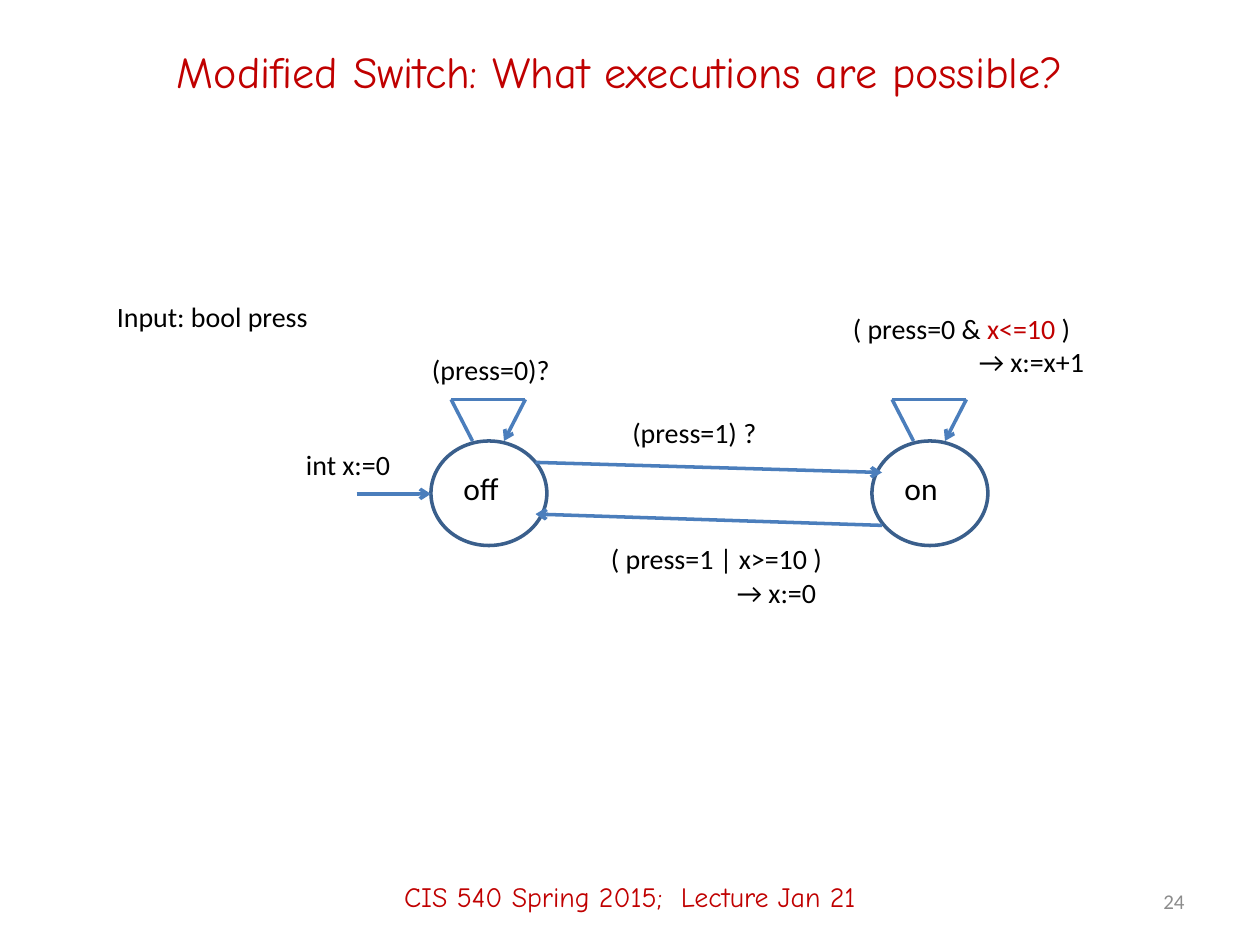
import itertools

import pptx
import pptx.dml.color
import pptx.enum.shapes
import pptx.enum.text
import pptx.oxml.ns
import pptx.util
from lxml import etree
from pptx.util import Inches

BODY_FONT, DISPLAY_FONT = "Calibri", "Comic Neue"
BLACK, RED, GRAY = "000000", "C00000", "8C8C8C"
ARROW_BLUE, STATE_BLUE = "4B7EBC", "3A5F8C"
STATE_WIDTH, STATE_HEIGHT = 0.92, 0.83
ALIGN = pptx.enum.text.PP_ALIGN
ANCHOR = pptx.enum.text.MSO_ANCHOR


def color(hex_string):
    """Turn a hex string into a colour."""
    return pptx.dml.color.RGBColor.from_string(hex_string)


def place(shape, left, top, width, height):
    """Set the box of a shape in inches."""
    shape.left, shape.top = Inches(left), Inches(top)
    shape.width, shape.height = Inches(width), Inches(height)


def format_paragraph(paragraph, size, hex_string=BLACK, font=BODY_FONT, align=ALIGN.LEFT):
    """Set the font and alignment of a paragraph."""
    paragraph.alignment = align
    paragraph.font.size = pptx.util.Pt(size)
    paragraph.font.name = font
    paragraph.font.color.rgb = color(hex_string)


def add_text(slide, box, text, size=16, wrap=False, anchor=ANCHOR.TOP, **style):
    """Add a text box with one formatted paragraph and return its frame."""
    frame = slide.shapes.add_textbox(*map(Inches, box)).text_frame
    frame.word_wrap = wrap
    frame.vertical_anchor = anchor
    frame.paragraphs[0].text = text
    format_paragraph(frame.paragraphs[0], size, **style)
    return frame


def add_action(frame, text):
    """Add an indented update line below a guard."""
    paragraph = frame.add_paragraph()
    paragraph.text = text
    paragraph._p.get_or_add_pPr().set("marL", str(Inches(1)))
    format_paragraph(paragraph, 16)


def add_line(slide, start, end, arrow=False):
    """Draw a straight line, with an arrowhead at its end if asked."""
    connector = slide.shapes.add_connector(
        pptx.enum.shapes.MSO_CONNECTOR.STRAIGHT, *map(Inches, (*start, *end)))
    connector.line.color.rgb = color(ARROW_BLUE)
    connector.line.width = pptx.util.Pt(2)
    if arrow:
        etree.SubElement(connector.line._get_or_add_ln(),
                         pptx.oxml.ns.qn("a:tailEnd"), type="arrow")
    etree.SubElement(connector._element.spPr, pptx.oxml.ns.qn("a:effectLst"))


def add_state(slide, left, top, name):
    """Draw a state circle with its name and the self-loop above it."""
    circle = slide.shapes.add_shape(
        pptx.enum.shapes.MSO_SHAPE.OVAL,
        *map(Inches, (left, top, STATE_WIDTH, STATE_HEIGHT)))
    circle.shadow.inherit = False
    circle.fill.background()
    circle.line.color.rgb = color(STATE_BLUE)
    circle.line.width = pptx.util.Pt(2)
    add_text(slide, (left + 0.16, top + 0.17, 0.58, 0.4), name, size=18, wrap=True)
    loop = [(left + x, top + y)
            for x, y in ((0.33, 0), (0.16, -0.33), (0.75, -0.33), (0.58, 0))]
    for start, end in itertools.pairwise(loop):
        add_line(slide, start, end, arrow=end == loop[-1])


def add_automaton(slide, left, top):
    """Draw the two-state switch with its transitions and labels."""
    def at(x, y, *extent):
        return (left + x, top + y, *extent)

    add_state(slide, *at(1.09, 1.08), "off")
    add_state(slide, *at(4.59, 1.08), "on")
    for start, end in (((0.5, 1.5), (1.09, 1.5)),
                       ((1.92, 1.25), (4.67, 1.33)),
                       ((4.67, 1.75), (1.92, 1.66))):
        add_line(slide, at(*start), at(*end), arrow=True)

    add_text(slide, at(0, 1.08, 0.88, 0.37), "int x:=0")
    add_text(slide, at(1, 0.33, 1.15, 0.37), "(press=0)?")
    add_text(slide, at(2.59, 0.83, 1.2, 0.37), "(press=1) ?")

    reset = add_text(slide, at(2.42, 1.83, 1.95, 0.64), "( press=1 | x>=10 )")
    add_action(reset, "→ x:=0")

    count = add_text(slide, at(4.34, 0, 2.07, 0.64), "( press=0 & ")
    bound, closing = (count.paragraphs[0].add_run() for _ in range(2))
    bound.text, closing.text = "x<=10 ", ")"
    bound.font.color.rgb = color(RED)
    add_action(count, "→ x:=x+1")


def add_title(slide, left, top, width, height):
    """Place and format the slide title."""
    title = slide.shapes.title
    place(title, left, top, width, height)
    frame = title.text_frame
    frame.text = "Modified Switch: What executions are possible?"
    frame.auto_size = pptx.enum.text.MSO_AUTO_SIZE.NONE
    frame.vertical_anchor = ANCHOR.MIDDLE
    format_paragraph(frame.paragraphs[0], 25.2, RED, DISPLAY_FONT, ALIGN.CENTER)


def add_footer(slide, left, top, width, height):
    """Add the lecture line and the page number."""
    add_text(slide, (left, top, width, height), "CIS 540 Spring 2015;  Lecture Jan 21",
             wrap=True, anchor=ANCHOR.MIDDLE, hex_string=RED, font=DISPLAY_FONT,
             align=ALIGN.CENTER)
    add_text(slide, (left + width - 2.83, top + 0.23, 2.33, 0.4), "24", size=12,
             wrap=True, anchor=ANCHOR.MIDDLE, hex_string=GRAY, align=ALIGN.RIGHT)


def main():
    """Build and save the slide."""
    presentation = pptx.Presentation()
    presentation.slide_width, presentation.slide_height = Inches(10), Inches(7.5)
    slide = presentation.slides.add_slide(presentation.slide_layouts[5])
    add_title(slide, 0.42, 0.17, 9, 0.78)
    add_text(slide, (0.83, 2.33, 1.73, 0.37), "Input: bool press")
    add_automaton(slide, 2.33, 2.42)
    add_footer(slide, 0, 6.72, 10, 0.78)
    presentation.save("out.pptx")


if __name__ == "__main__":
    main()
